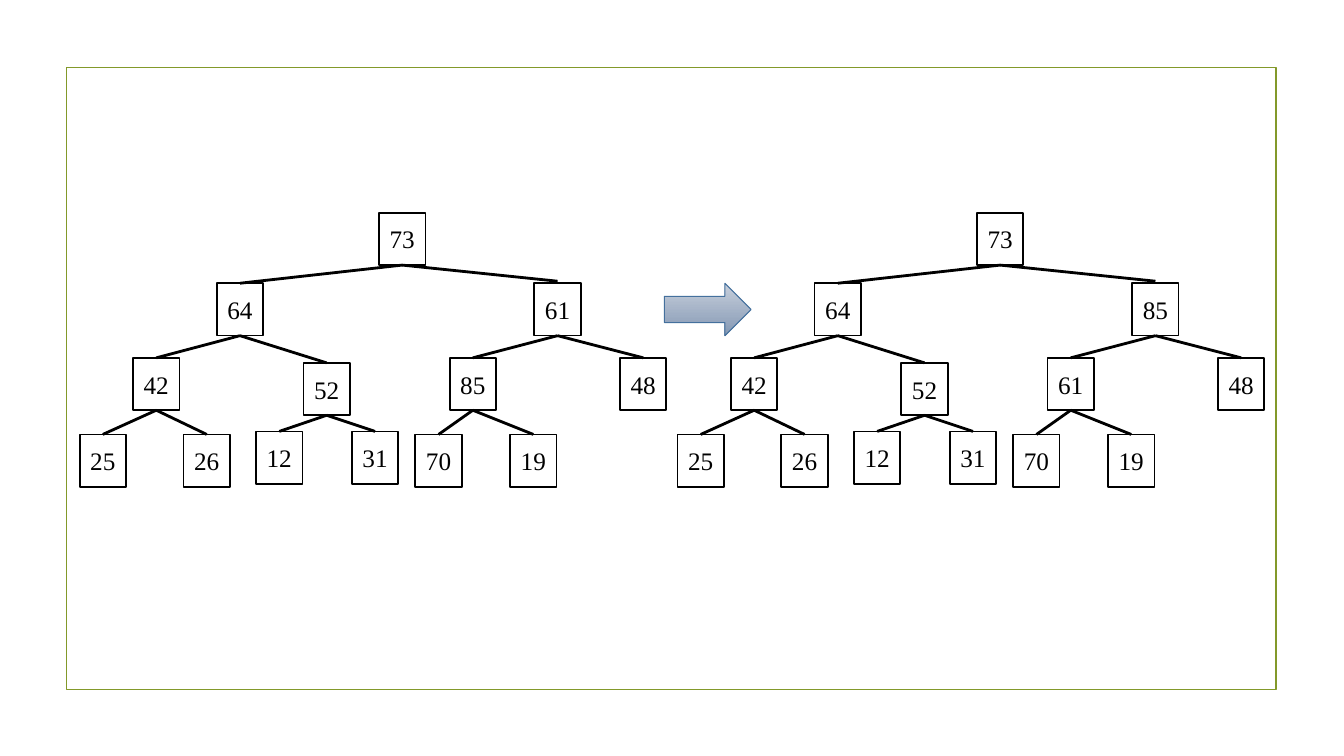
from dataclasses import dataclass
from lxml.etree import SubElement
from pptx import Presentation
from pptx.dml.color import RGBColor as Color
from pptx.enum.shapes import MSO_CONNECTOR as Link, MSO_SHAPE as Form
from pptx.enum.text import MSO_ANCHOR as Anchor, PP_ALIGN as Align
from pptx.oxml.ns import qn
from pptx.util import Pt

HEAPS = [
    (0, [73, 64, 61, 42, 52, 85, 48, 25, 26, 12, 31, 70, 19]),
    (593, [73, 64, 85, 42, 52, 61, 48, 25, 26, 12, 31, 70, 19]),
]
SPOTS = [
    (376, 211),
    (215, 281), (530, 281),
    (132, 355), (301, 360), (446, 355), (615, 355),
    (79, 431), (182, 431), (254, 428), (349, 428), (412, 431), (506, 431),
]
LIFT = {2: 2}
NODE = (46, 52)
FRAME = (66, 67, 1200, 617)
ARROW = (659, 281, 86, 52)
SLIDE = (1333, 750)
PX = 9144


@dataclass(frozen=True)
class Theme:
    font: str = "Times New Roman"
    size: float = 18
    ink: str = "000000"
    paper: str = "FFFFFF"
    frame: str = "83992A"
    edge: str = "44709D"
    fade: tuple = ("C7CFDB", "8498B4")
    border: float = 1.25
    branch: float = 2
    thin: float = 0.75


LOOK = Theme()


def px(*nums):
    return [n * PX for n in nums]


def stroke(item, tone, width):
    item.line.color.rgb = Color.from_string(tone)
    item.line.width = Pt(width)


def add_form(slide, form, area, tone, width):
    shape = slide.shapes.add_shape(form, *px(*area))
    shape.shadow.inherit = False
    stroke(shape, tone, width)
    return shape


def add_node(slide, left, top, key):
    box = add_form(slide, Form.RECTANGLE, (left, top, *NODE), LOOK.ink, LOOK.border)
    box.fill.solid()
    box.fill.fore_color.rgb = Color.from_string(LOOK.paper)
    frame = box.text_frame
    frame.margin_left = frame.margin_right = 0
    frame.margin_top = frame.margin_bottom = 0
    frame.vertical_anchor = Anchor.MIDDLE
    frame.text = str(key)
    line = frame.paragraphs[0]
    line.alignment = Align.CENTER
    font = line.runs[0].font
    font.name = LOOK.font
    font.size = Pt(LOOK.size)
    font.color.rgb = Color.from_string(LOOK.ink)


def add_branch(slide, shift, child):
    wide, high = NODE
    half = shift + wide // 2
    left, top = SPOTS[child]
    over, base = SPOTS[(child - 1) // 2]
    ends = px(left + half, top - LIFT.get(child, 0), over + half, base + high)
    line = slide.shapes.add_connector(Link.STRAIGHT, *ends)
    stroke(line, LOOK.ink, LOOK.branch)
    SubElement(line._element.spPr, qn("a:effectLst"))


def add_heap(slide, shift, keys):
    for (left, top), key in zip(SPOTS, keys):
        add_node(slide, left + shift, top, key)
    for child in range(1, len(keys)):
        add_branch(slide, shift, child)


def add_arrow(slide):
    arrow = add_form(slide, Form.RIGHT_ARROW, ARROW, LOOK.edge, LOOK.thin)
    arrow.fill.gradient()
    arrow.fill.gradient_angle = 270
    for stop, tone in zip(arrow.fill.gradient_stops, LOOK.fade):
        stop.color.rgb = Color.from_string(tone)


def main():
    deck = Presentation()
    deck.slide_width, deck.slide_height = px(*SLIDE)
    slide = deck.slides.add_slide(deck.slide_layouts[6])
    frame = add_form(slide, Form.RECTANGLE, FRAME, LOOK.frame, LOOK.border)
    frame.fill.background()
    for shift, keys in HEAPS:
        add_heap(slide, shift, keys)
    add_arrow(slide)
    deck.save("out.pptx")


if __name__ == "__main__":
    main()
